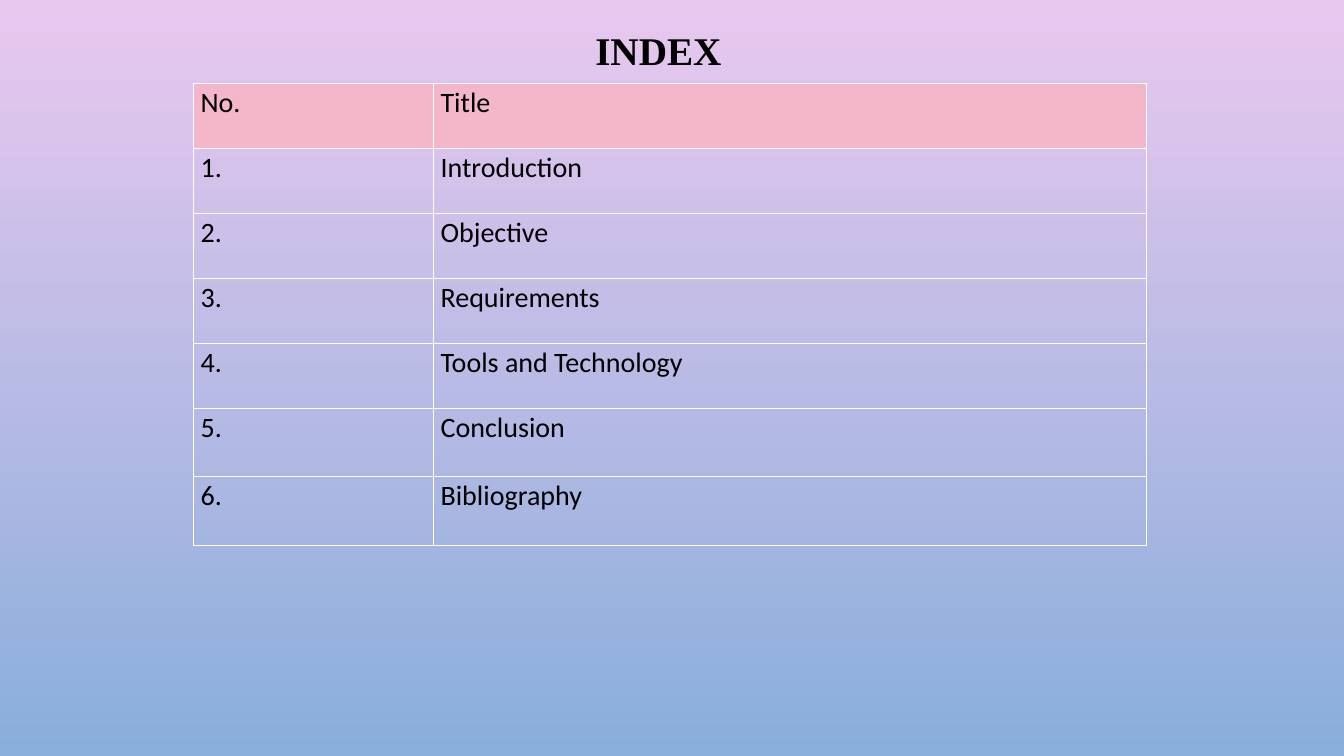
"""Builds an index slide: a heading above a two-column table of contents."""
import pptx
import pptx.dml.color
import pptx.enum.text
import pptx.oxml
import pptx.oxml.ns
import pptx.util

Inches, Pt = pptx.util.Inches, pptx.util.Pt

HEADING = "INDEX"
HEADER = ("No.", "Title")
TOPICS = ["Introduction", "Objective", "Requirements",
          "Tools and Technology", "Conclusion", "Bibliography"]
COL_WIDTHS = [2.38, 7.07]
ROW_HEIGHTS = [0.64, 0.65, 0.64, 0.65, 0.64, 0.68, 0.68]
GRADIENT = ["E9C8EF", "89AEDB"]
HEADER_FILL, BORDER, INK = "F4B7CA", "FFFFFF", "000000"


def rgb(value):
    return pptx.dml.color.RGBColor.from_string(value)


def style_run(r, font, size, bold=False):
    r.font.name, r.font.size, r.font.bold = font, Pt(size), bold
    r.font.color.rgb = rgb(INK)


def add_borders(cell):
    tcPr = cell._tc.get_or_add_tcPr()
    for i, side in enumerate(("lnL", "lnR", "lnT", "lnB")):
        tcPr.insert(i, pptx.oxml.parse_xml(
            f'<a:{side} {pptx.oxml.ns.nsdecls("a")} w="12700"><a:solidFill>'
            f'<a:srgbClr val="{BORDER}"/></a:solidFill></a:{side}>'))


def fill_cell(cell, text, is_header):
    cell.margin_left = Inches(0.07)
    cell.margin_right = cell.margin_top = cell.margin_bottom = 0
    if is_header:
        cell.fill.solid()
        cell.fill.fore_color.rgb = rgb(HEADER_FILL)
    else:
        cell.fill.background()
    add_borders(cell)
    p = cell.text_frame.paragraphs[0]
    p.text = text
    p.line_spacing = 1.07
    p.space_before = Pt(0.3)
    style_run(p.runs[0], "Calibri", 20)


def add_index_table(s):
    rows = [HEADER] + [(f"{n}.", topic) for n, topic in enumerate(TOPICS, 1)]
    table = s.shapes.add_table(
        len(rows), len(HEADER), Inches(1.92), Inches(0.83),
        Inches(sum(COL_WIDTHS)), Inches(sum(ROW_HEIGHTS))).table
    table.first_row = table.horz_banding = False
    for col, width in zip(table.columns, COL_WIDTHS):
        col.width = Inches(width)
    for i, (row, height, texts) in enumerate(zip(table.rows, ROW_HEIGHTS, rows)):
        row.height = Inches(height)
        for cell, text in zip(row.cells, texts):
            fill_cell(cell, text, i == 0)


def add_heading(s):
    sp = s.shapes.add_textbox(Inches(4.66), Inches(0.19), Inches(3.24), Inches(0.84))
    tf = sp.text_frame
    tf.word_wrap = True
    tf.margin_top = Inches(0.07)
    p = tf.paragraphs[0]
    p.text = HEADING
    p.alignment = pptx.enum.text.PP_ALIGN.CENTER
    p._p.get_or_add_pPr().set("indent", str(Inches(0.5)))
    style_run(p.runs[0], "Times New Roman", 28, bold=True)


def main():
    prs = pptx.Presentation()
    prs.slide_width, prs.slide_height = Inches(13.33), Inches(7.5)
    s = prs.slides.add_slide(prs.slide_layouts[6])
    fill = s.background.fill
    fill.gradient()
    fill.gradient_angle = 270
    for stop, position, color in zip(fill.gradient_stops, (0, 1), GRADIENT):
        stop.position = position
        stop.color.rgb = rgb(color)
    add_index_table(s)
    add_heading(s)
    prs.save("out.pptx")


if __name__ == "__main__":
    main()
